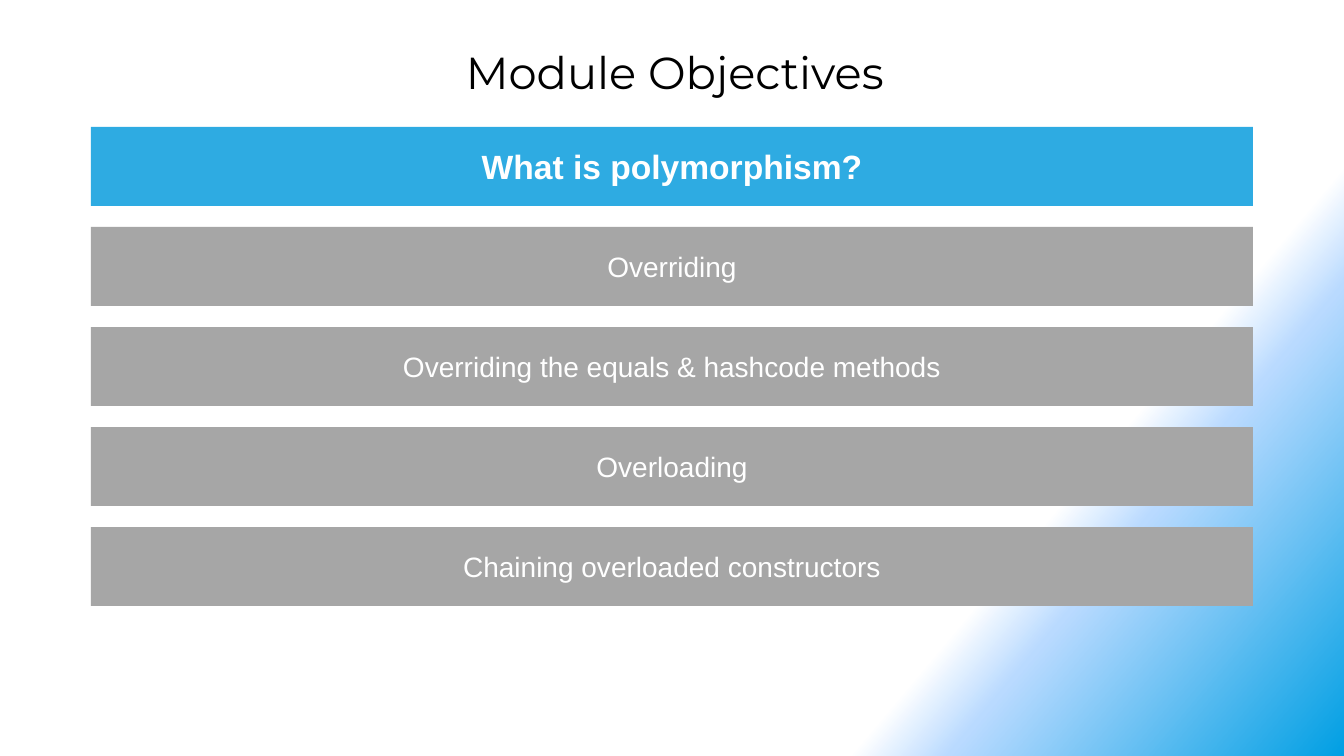
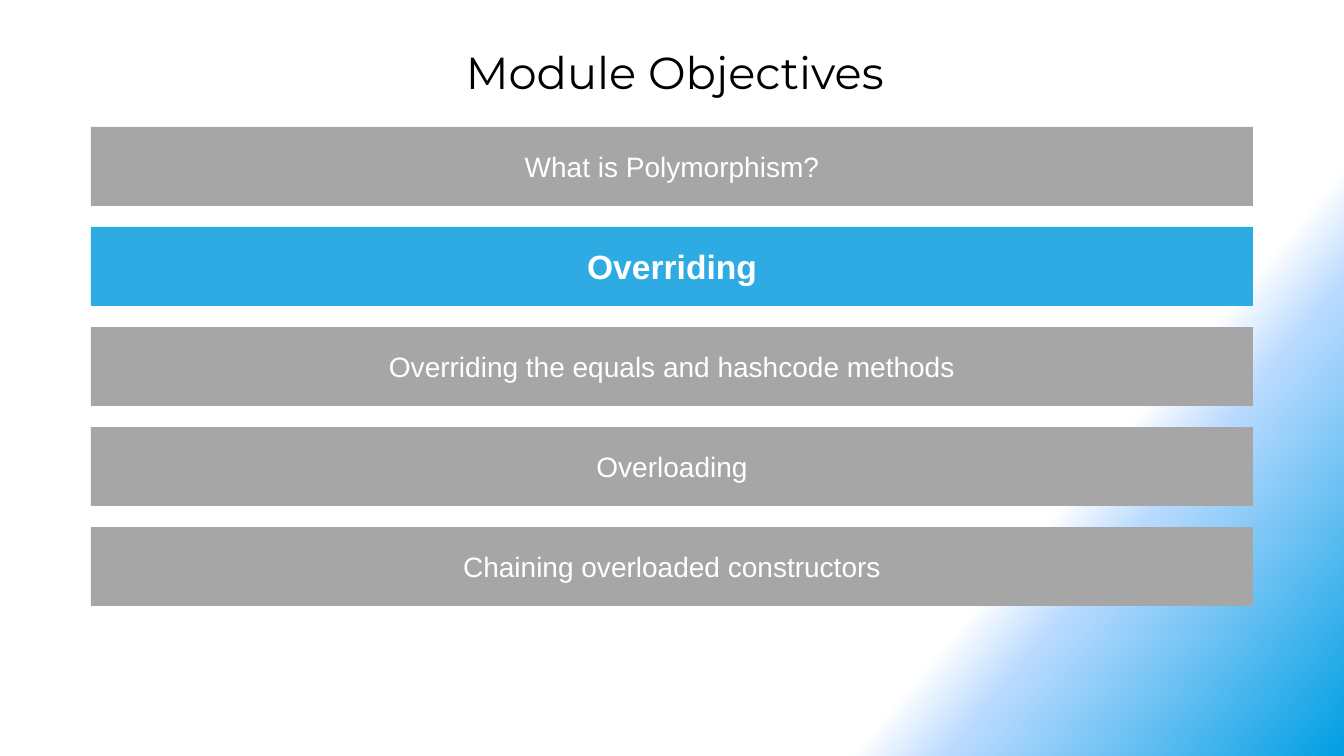
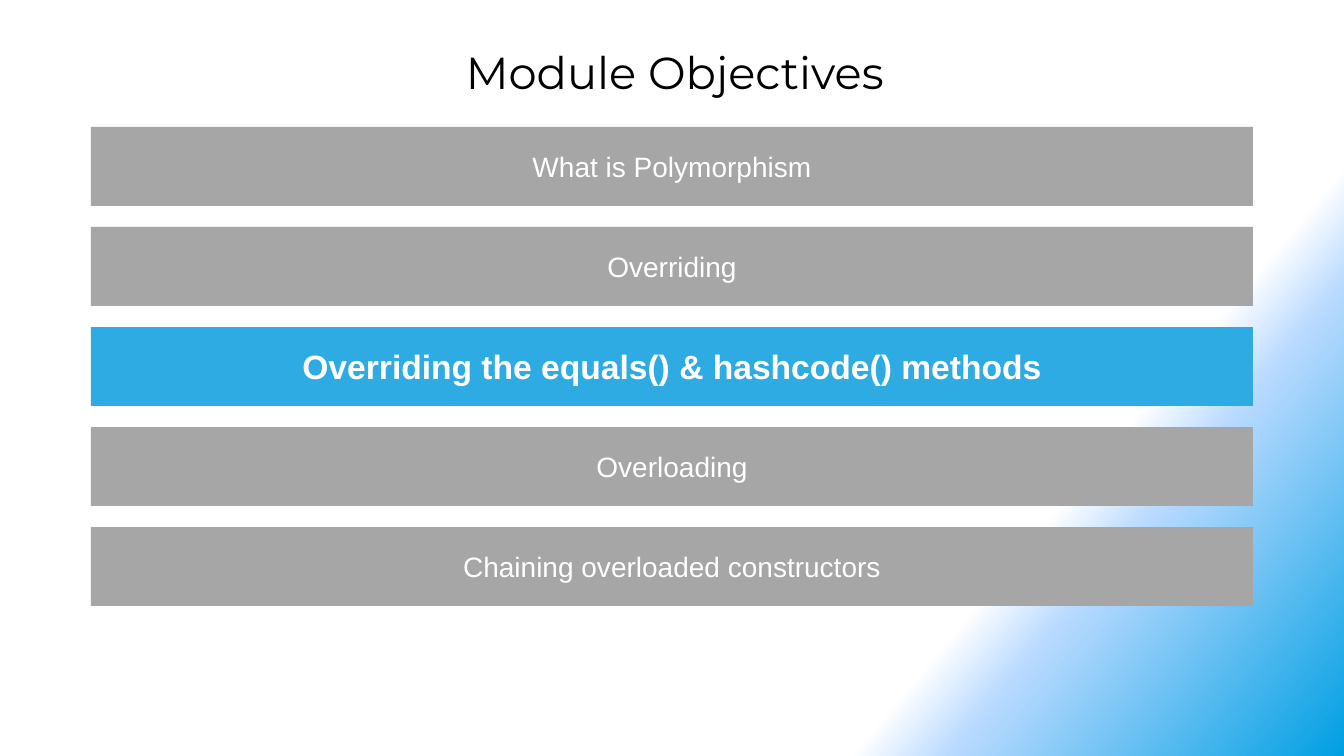
"""Build three module-objective slides, each highlighting the current topic."""
from lxml.etree import SubElement
from pptx import Presentation
from pptx.dml.color import RGBColor
from pptx.enum.shapes import MSO_SHAPE as Shape
from pptx.enum.text import MSO_ANCHOR as Anchor, MSO_AUTO_SIZE as AutoSize, PP_ALIGN as Align
from pptx.oxml.ns import qn
from pptx.util import Emu, Pt

WHITE = RGBColor(0xFF, 0xFF, 0xFF)
BLACK = RGBColor(0x00, 0x00, 0x00)
PALE_BLUE = RGBColor(0xB9, 0xDA, 0xFF)
DEEP_BLUE = RGBColor(0x00, 0x9F, 0xE3)
HIGHLIGHT = RGBColor(0x2E, 0xAB, 0xE2)
GREY = RGBColor(0xA6, 0xA6, 0xA6)

SLIDE_W, SLIDE_H = 1344, 756
SCALE = 12192000 / SLIDE_W
BAR_LEFT, BAR_TOP, BAR_W, BAR_H, BAR_PITCH = 91, 127, 1162, 79, 100

AGENDAS = [
    ["What is polymorphism?", "Overriding", "Overriding the equals & hashcode methods",
     "Overloading", "Chaining overloaded constructors"],
    ["What is Polymorphism?", "Overriding", "Overriding the equals and hashcode methods",
     "Overloading", "Chaining overloaded constructors"],
    ["What is Polymorphism", "Overriding", "Overriding the equals() & hashcode() methods",
     "Overloading", "Chaining overloaded constructors"],
]


def px(*lengths):
    return [Emu(round(length * SCALE)) for length in lengths]


def style_text(frame, font_name, size, color, bold=False):
    frame.word_wrap = True
    frame.vertical_anchor = Anchor.MIDDLE
    paragraph = frame.paragraphs[0]
    paragraph.alignment = Align.CENTER
    font = paragraph.font
    font.name, font.size, font.bold = font_name, Pt(size), bold
    font.color.rgb = color


prs = Presentation()
prs.slide_width, prs.slide_height = px(SLIDE_W, SLIDE_H)

backdrop = prs.slide_master.background.fill
backdrop.gradient()
backdrop.gradient_angle = 320
stops = prs.slide_master.element.find(".//" + qn("a:gsLst"))
for old_stop in list(stops):
    stops.remove(old_stop)
for percent, color, opacity in [(75, WHITE, 100), (80, PALE_BLUE, 50), (100, DEEP_BLUE, 100)]:
    stop = SubElement(stops, qn("a:gs"), pos=str(percent * 1000))
    tint = SubElement(stop, qn("a:srgbClr"), val=str(color))
    if opacity < 100:
        SubElement(tint, qn("a:alpha"), val=str(opacity * 1000))

title_only = prs.slide_layouts.get_by_name("Title Only")

for current, topics in enumerate(AGENDAS):
    slide = prs.slides.add_slide(title_only)
    title = slide.shapes.title
    title.left, title.top, title.width, title.height = px(67, 39, 1216, 65)
    title.text_frame.text = "Module Objectives"
    title.text_frame.auto_size = AutoSize.SHAPE_TO_FIT_TEXT
    style_text(title.text_frame, "Montserrat", 32, BLACK)

    for row, topic in enumerate(topics):
        active = row == current
        bar = slide.shapes.add_shape(
            Shape.RECTANGLE, *px(BAR_LEFT, BAR_TOP + row * BAR_PITCH, BAR_W, BAR_H))
        bar.shadow.inherit = False
        bar.fill.solid()
        bar.fill.fore_color.rgb = HIGHLIGHT if active else GREY
        bar.line.fill.background()
        bar.text_frame.text = topic
        style_text(bar.text_frame, "Arial", 24 if active else 20, WHITE, active)

prs.save("out.pptx")
